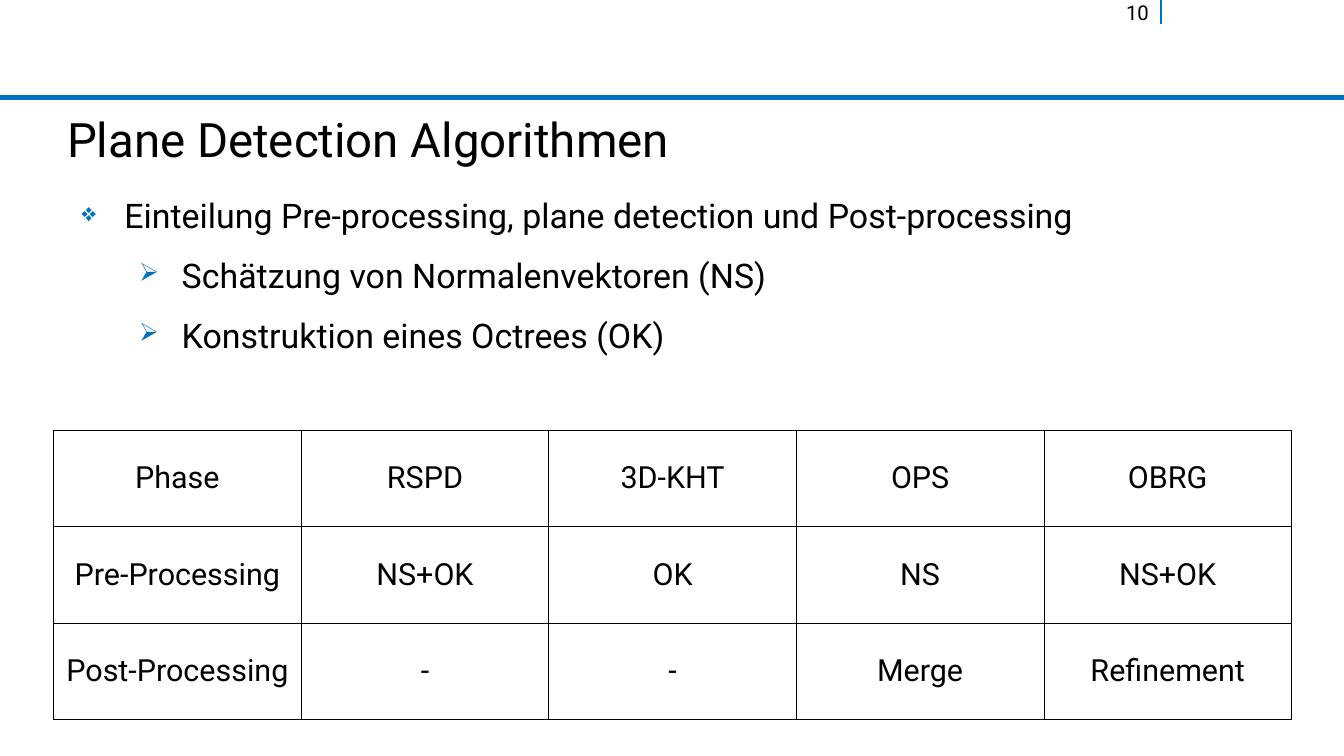
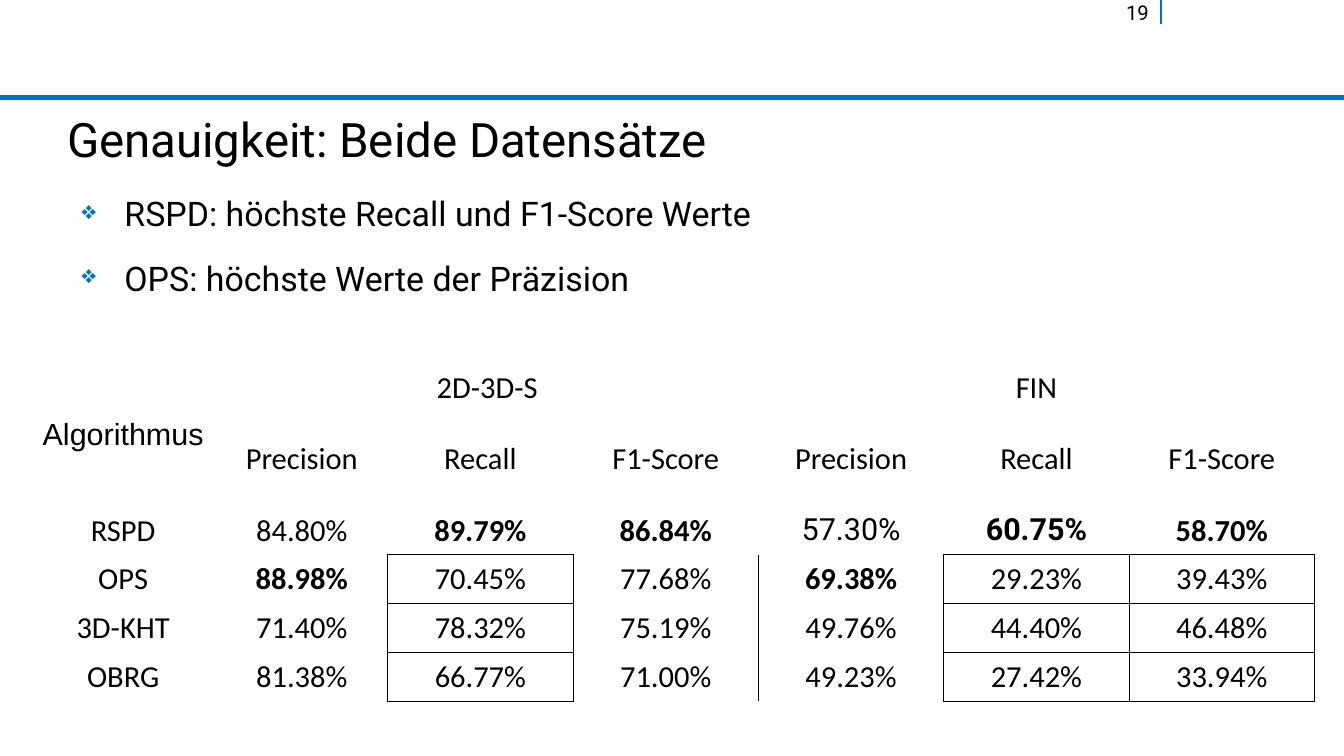
"""Build two slides about plane detection algorithms and their accuracy."""
import itertools

import pptx
import pptx.dml.color
import pptx.enum.shapes
import pptx.enum.text
import pptx.oxml.ns
import pptx.util
from lxml import etree
from pptx.util import Inches

COLOURS = {"text": "000000", "accent": "0073C0"}
FONT = "Roboto"
SLIDE_WIDTH, SLIDE_HEIGHT = 11.02, 6.2
CONTENT_LEFT, CONTENT_WIDTH = 0.55, 9.92
BULLETS = [
    {"char": "❖", "margin": 0.47, "space": 14.2},
    {"char": "➢", "margin": 0.94, "space": 11.3},
]
BULLET_HANG = 0.35
PLAIN_TABLE_STYLE = "{2D5ABB26-0587-4C30-8999-92F81FD0307C}"
SIDES = {"lnL": (0, -1), "lnR": (0, 1), "lnT": (-1, 0), "lnB": (1, 0)}
ALIGN = pptx.enum.text.PP_ALIGN
ANCHOR = pptx.enum.text.MSO_ANCHOR

PHASES = [
    ["Phase", "RSPD", "3D-KHT", "OPS", "OBRG"],
    ["Pre-Processing", "NS+OK", "OK", "NS", "NS+OK"],
    ["Post-Processing", "-", "-", "Merge", "Refinement"],
]
METRICS = ["Precision", "Recall", "F1-Score"]
ACCURACY = [
    ["Algorithmus", "2D-3D-S", "", "", "FIN", "", ""],
    [""] + METRICS * 2,
    ["RSPD", "84.80%", "89.79%", "86.84%", "57.30%", "60.75%", "58.70%"],
    ["OPS", "88.98%", "70.45%", "77.68%", "69.38%", "29.23%", "39.43%"],
    ["3D-KHT", "71.40%", "78.32%", "75.19%", "49.76%", "44.40%", "46.48%"],
    ["OBRG", "81.38%", "66.77%", "71.00%", "49.23%", "27.42%", "33.94%"],
]
BEST_CELLS = {(2, 2), (2, 3), (2, 5), (2, 6), (3, 1), (3, 4)}
FRAMED_CELLS = set(itertools.product((3, 4, 5), (2, 5, 6)))
CELL_FONTS = {(0, 0): "Arial", (2, 4): FONT, (2, 5): FONT}


def rgb(name):
    """Return the named colour."""
    return pptx.dml.color.RGBColor.from_string(COLOURS[name])


def add_child(parent, tag, **attributes):
    """Append a drawing element to parent and return it."""
    return etree.SubElement(parent, pptx.oxml.ns.qn(f"a:{tag}"), attributes)


def write(para, text, size, font=FONT, bold=False, align=ALIGN.LEFT):
    """Add formatted text to a paragraph."""
    para.alignment = align
    span = para.add_run()
    span.text = text
    span.font.size = pptx.util.Pt(size)
    span.font.name = font
    span.font.bold = bold
    span.font.color.rgb = rgb("text")


def add_frame(page, left, top, width, height, anchor=ANCHOR.TOP):
    """Add a wrapping text box without insets and return its text frame."""
    box = page.shapes.add_textbox(Inches(left), Inches(top), Inches(width), Inches(height))
    frame = box.text_frame
    frame.word_wrap = True
    frame.vertical_anchor = anchor
    frame.margin_left = frame.margin_right = frame.margin_top = frame.margin_bottom = 0
    return frame


def add_rule(page, start, end, weight):
    """Draw an accent line between two points."""
    line = page.shapes.add_connector(
        pptx.enum.shapes.MSO_CONNECTOR.STRAIGHT, *map(Inches, start + end))
    line.line.color.rgb = rgb("accent")
    line.line.width = pptx.util.Pt(weight)
    add_child(line._element.spPr, "effectLst")


def add_page(deck, title, number):
    """Add a slide with its rules, title and page number."""
    page = deck.slides.add_slide(deck.slide_layouts[6])
    add_rule(page, (0, 0.8), (SLIDE_WIDTH, 0.8), 2.89)
    add_rule(page, (9.52, 0), (9.52, 0.2), 1.45)
    heading = add_frame(page, CONTENT_LEFT, 0.88, CONTENT_WIDTH, 0.52, ANCHOR.MIDDLE)
    write(heading.paragraphs[0], title, 28)
    corner = add_frame(page, 8.02, 0, 1.4, 0.43)
    write(corner.paragraphs[0], str(number), 12, align=ALIGN.RIGHT)
    return page


def add_bullets(page, top, height, items):
    """Add a list of (level, text) bullet items."""
    frame = add_frame(page, CONTENT_LEFT, top, CONTENT_WIDTH, height)
    for index, (level, text) in enumerate(items):
        para = frame.add_paragraph() if index else frame.paragraphs[0]
        style = BULLETS[level]
        para.level = level
        properties = para._p.get_or_add_pPr()
        properties.set("marL", str(Inches(style["margin"])))
        properties.set("indent", str(-Inches(BULLET_HANG)))
        add_child(add_child(properties, "buClr"), "srgbClr", val=COLOURS["accent"])
        add_child(properties, "buSzPct", val="75000")
        add_child(properties, "buChar", char=style["char"])
        para.space_before = pptx.util.Pt(style["space"] if index else 0)
        write(para, text, 20)


def add_border(cell, side):
    """Draw a thin line on one side of a cell."""
    line = add_child(cell._tc.get_or_add_tcPr(), side, w=str(pptx.util.Pt(0.57)))
    add_child(add_child(line, "solidFill"), "srgbClr", val=COLOURS["text"])


def add_grid(page, left, top, widths, heights, rows, framed, font=FONT,
             fonts=None, bold=(), merges=()):
    """Add a centred table with lines around the framed cells."""
    table = page.shapes.add_table(
        len(heights), len(widths), Inches(left), Inches(top),
        Inches(sum(widths)), Inches(sum(heights))).table
    table.first_row = table.horz_banding = False
    table._tbl.tblPr.find(pptx.oxml.ns.qn("a:tableStyleId")).text = PLAIN_TABLE_STYLE
    for column, width in zip(table.columns, widths):
        column.width = Inches(width)
    for row, height in zip(table.rows, heights):
        row.height = Inches(height)
    for first, last in merges:
        table.cell(*first).merge(table.cell(*last))
    for place in itertools.product(range(len(heights)), range(len(widths))):
        cell = table.cell(*place)
        for side, (down, across) in SIDES.items():
            neighbour = (place[0] + down, place[1] + across)
            if place in framed or neighbour in framed:
                add_border(cell, side)
        cell.fill.background()
        cell.vertical_anchor = ANCHOR.MIDDLE
        text = rows[place[0]][place[1]]
        if text:
            write(cell.text_frame.paragraphs[0], text, 18, (fonts or {}).get(place, font),
                  place in bold, ALIGN.CENTER)


def build_algorithms(deck):
    """Build the slide on the phases of each algorithm."""
    page = add_page(deck, "Plane Detection Algorithmen", 10)
    add_bullets(page, 1.6, 4.5, [
        (0, "Einteilung Pre-processing, plane detection und Post-processing"),
        (1, "Schätzung von Normalenvektoren (NS)"),
        (1, "Konstruktion eines Octrees (OK)"),
    ])
    add_grid(page, 0.44, 3.53, [2.03] * 5, [0.79] * 3, PHASES,
             set(itertools.product(range(3), range(5))))


def build_accuracy(deck):
    """Build the slide on accuracy for both data sets."""
    page = add_page(deck, "Genauigkeit: Beide Datensätze", 19)
    add_grid(page, 0.25, 2.98, [1.52, 1.41] + [1.52] * 5, [0.38, 0.77, 0.4] + [0.38] * 3,
             ACCURACY, FRAMED_CELLS, font="Calibri", fonts=CELL_FONTS, bold=BEST_CELLS,
             merges=[((0, 0), (1, 0)), ((0, 1), (0, 3)), ((0, 4), (0, 6))])
    add_bullets(page, 1.58, 1.6, [
        (0, "RSPD: höchste Recall und F1-Score Werte"),
        (0, "OPS: höchste Werte der Präzision"),
    ])


def main():
    """Build and save the deck."""
    deck = pptx.Presentation()
    deck.slide_width = Inches(SLIDE_WIDTH)
    deck.slide_height = Inches(SLIDE_HEIGHT)
    build_algorithms(deck)
    build_accuracy(deck)
    deck.save("out.pptx")


if __name__ == "__main__":
    main()
